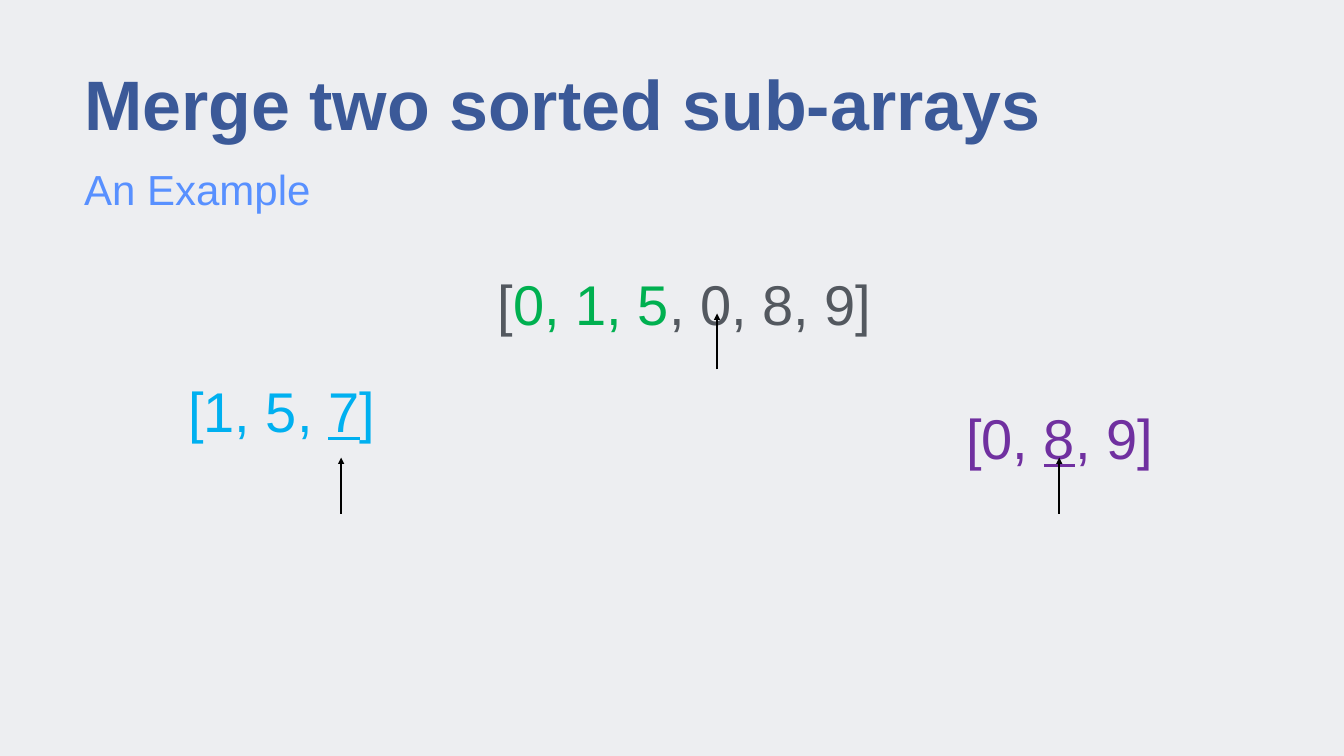
from lxml import etree
from pptx import Presentation
from pptx.dml.color import RGBColor
from pptx.enum.shapes import MSO_CONNECTOR
from pptx.enum.text import MSO_ANCHOR as Anchor, PP_ALIGN as Align
from pptx.oxml.ns import qn
from pptx.util import Emu, Pt

PX = 9144  # 100 px to the inch
WIDTH, HEIGHT = 2667, 1500

BACKGROUND = RGBColor(0xED, 0xEE, 0xF1)
NAVY = RGBColor(0x3B, 0x59, 0x98)
BLUE = RGBColor(0x58, 0x90, 0xFF)
GREY = RGBColor(0x53, 0x58, 0x5F)
GREEN = RGBColor(0x00, 0xB0, 0x50)
CYAN = RGBColor(0x00, 0xB0, 0xF0)
PURPLE = RGBColor(0x70, 0x30, 0xA0)
BLACK = RGBColor(0x00, 0x00, 0x00)


def px(length):
    return Emu(length * PX)


class SlideBuilder:
    font_name = "Arial"
    arrow_width = Pt(3)

    def __init__(self, presentation):
        self.slide = presentation.slides.add_slide(presentation.slide_layouts[6])
        fill = self.slide.background.fill
        fill.solid()
        fill.fore_color.rgb = BACKGROUND

    def text(self, box, runs, size, spacing, align=Align.LEFT,
             anchor=Anchor.MIDDLE, bold=False):
        """Add one line of text; each run is (text, colour, underline)."""
        shape = self.slide.shapes.add_textbox(*map(px, box))
        frame = shape.text_frame
        paragraph = frame.paragraphs[0]
        frame_format = {"word_wrap": True, "vertical_anchor": anchor,
                        "margin_left": 0, "margin_right": 0,
                        "margin_top": 0, "margin_bottom": 0}
        for name, value in frame_format.items():
            setattr(frame, name, value)
        paragraph.alignment = align
        paragraph.line_spacing = spacing
        for content, colour, underline in runs:
            run = paragraph.add_run()
            run.text = content
            font_format = {"name": self.font_name, "size": Pt(size),
                           "bold": bold, "underline": underline}
            for name, value in font_format.items():
                setattr(run.font, name, value)
            run.font.color.rgb = colour

    def array(self, box, runs, spacing=1.5, anchor=Anchor.MIDDLE):
        self.text(box, runs, 80, spacing, Align.CENTER, anchor)

    def pointer(self, x, tip, length=111):
        """Add an upward arrow whose head is at (x, tip)."""
        connector = self.slide.shapes.add_connector(
            MSO_CONNECTOR.STRAIGHT, px(x), px(tip + length), px(x), px(tip))
        connector.line.color.rgb = BLACK
        connector.line.width = self.arrow_width
        line = connector.line._get_or_add_ln()
        etree.SubElement(line, qn("a:tailEnd"), type="triangle")
        etree.SubElement(connector._element.spPr, qn("a:effectLst"))


def main():
    presentation = Presentation()
    presentation.slide_width, presentation.slide_height = px(WIDTH), px(HEIGHT)
    builder = SlideBuilder(presentation)

    # Merged array and the two sorted sub-arrays
    builder.array((167, 469, 2383, 264),
                  [("[", GREY, False), ("0, 1, 5", GREEN, False),
                   (", 0, 8, 9]", GREY, False)], anchor=Anchor.TOP)
    builder.array((252, 733, 614, 148),
                  [("[1, 5, ", CYAN, False), ("7", CYAN, True),
                   ("]", CYAN, False)], spacing=1.1)
    builder.array((1705, 733, 795, 202),
                  [("[0, ", PURPLE, False), ("8", PURPLE, True),
                   (", 9]", PURPLE, False)])

    # Pointers to the current positions
    for x, tip in ((677, 908), (2102, 908), (1423, 622)):
        builder.pointer(x, tip)

    # Title and subtitle
    builder.text((167, 114, 2333, 201),
                 [("Merge two sorted sub-arrays", NAVY, False)],
                 100, 0.9, bold=True)
    builder.text((167, 319, 2333, 122), [("An Example", BLUE, False)], 60, 0.9)

    presentation.save("out.pptx")


if __name__ == "__main__":
    main()
